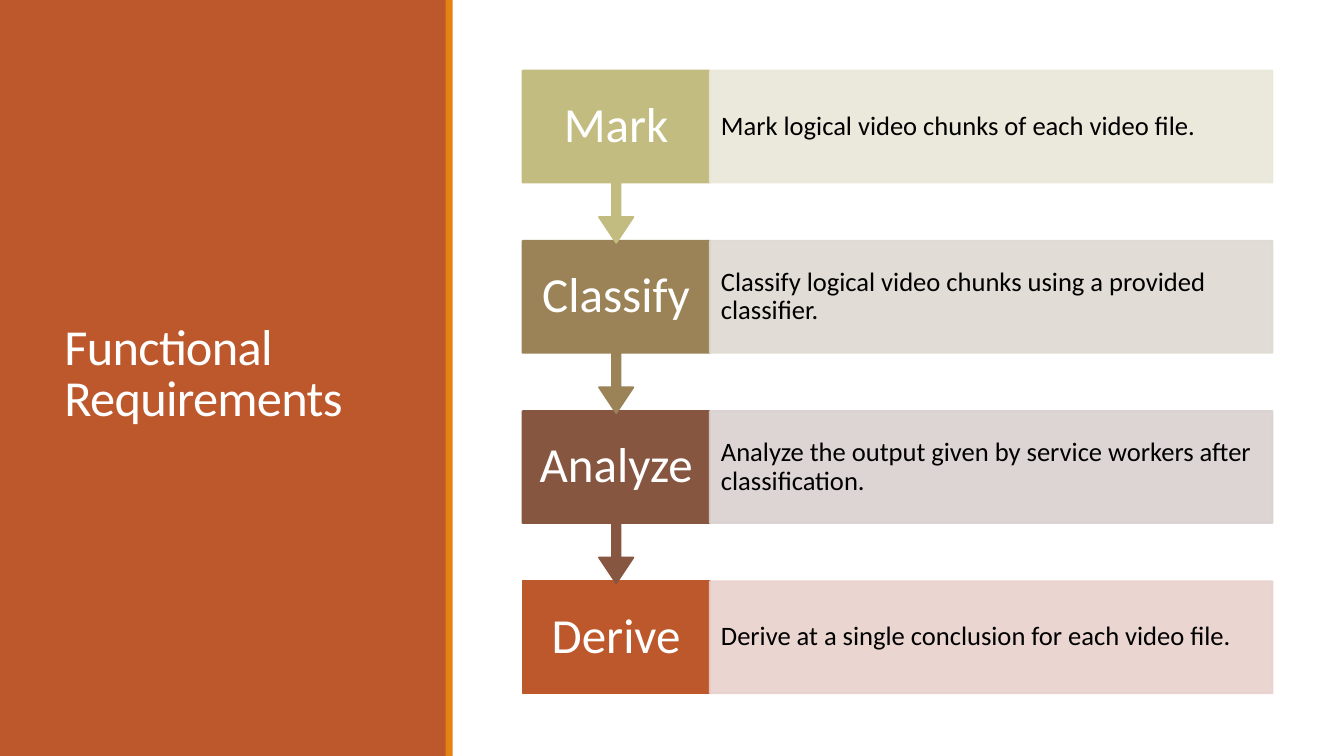
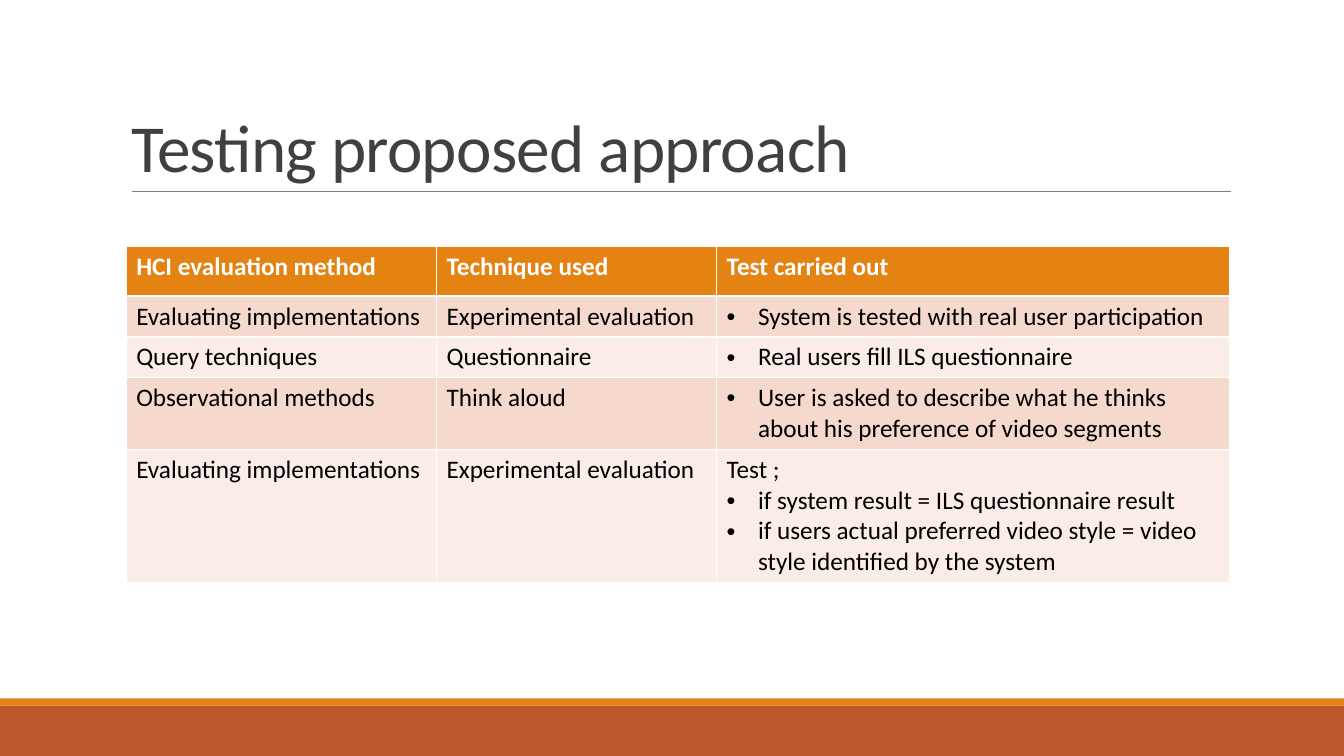
import pptx
import pptx.util
import pptx.dml.color
import pptx.enum.shapes
import pptx.enum.text
import pptx.oxml.ns
import lxml.etree

Cm = pptx.util.Cm
Pt = pptx.util.Pt
RGB = pptx.dml.color.RGBColor.from_string
SHAPE = pptx.enum.shapes.MSO_SHAPE
ANCHOR = pptx.enum.text.MSO_ANCHOR
ALIGN = pptx.enum.text.PP_ALIGN
qn = pptx.oxml.ns.qn

FONT = "Calibri"
COLORS = {
    "rust": "BD582C", "orange": "E48312", "white": "FFFFFF", "black": "000000",
    "title": "404040", "rule": "808080", "row_dark": "F5D9CC", "row_light": "FAEDE7",
}
WIDTH, HEIGHT = 33.87, 19.05
BAND = 0.18

prs = pptx.Presentation()
prs.slide_width, prs.slide_height = Cm(WIDTH), Cm(HEIGHT)


def add_box(s, kind, x, y, w, h, fill, line=None):
    sp = s.shapes.add_shape(kind, Cm(x), Cm(y), Cm(w), Cm(h))
    sp.shadow.inherit = False
    sp.fill.solid()
    sp.fill.fore_color.rgb = RGB(fill)
    if line:
        sp.line.color.rgb = RGB(fill)
        sp.line.width = Pt(line)
    else:
        sp.line.fill.background()
    return sp


def format_text(tf, size, color, anchor, align=ALIGN.LEFT, spacing=None, bold=False, track=None):
    tf.word_wrap = True
    tf.vertical_anchor = anchor
    for p in tf.paragraphs:
        p.alignment = align
        p.line_spacing = spacing
        for r in p.runs:
            r.font.name = FONT
            r.font.size = Pt(size)
            r.font.bold = bold
            r.font.color.rgb = RGB(color)
            if track:
                r.font._element.set("spc", str(track))


titles = [
    ("Functional Requirements", (1.37, 1.45, 8.56, 16.03), 36, "white", ANCHOR.MIDDLE),
    ("Testing proposed approach", (3.05, 0.79, 27.94, 4.04), 48, "title", ANCHOR.BOTTOM),
]
for text, (x, y, w, h), size, color, anchor in titles:
    s = prs.slides.add_slide(prs.slide_layouts[5])
    title = s.shapes.title
    title.left, title.top, title.width, title.height = Cm(x), Cm(y), Cm(w), Cm(h)
    title.text_frame.text = text
    title.text_frame.auto_size = pptx.enum.text.MSO_AUTO_SIZE.NONE
    format_text(title.text_frame, size, COLORS[color], anchor, spacing=0.85, track=-50)

s = prs.slides[0]
panel = add_box(s, SHAPE.RECTANGLE, 0, 0, 11.25, HEIGHT, COLORS["rust"])
s.shapes._spTree.remove(panel._element)
s.shapes._spTree.insert(2, panel._element)
add_box(s, SHAPE.RECTANGLE, 11.23, 0, BAND, HEIGHT, COLORS["orange"])

steps = [
    ("Mark", "Mark logical video chunks of each video file.", "C2BC80", "E9E7D8"),
    ("Classify", "Classify logical video chunks using a provided classifier.", "9B8357", "DED9D1"),
    ("Analyze", "Analyze the output given by service workers after classification.", "865640", "D9D1CF"),
    ("Derive", "Derive at a single conclusion for each video file.", COLORS["rust"], "E8D1CD"),
]
step_x, step_y, step_pitch = 13.17, 1.78, 4.29
label_w, detail_w, step_h, callout_h = 4.72, 14.18, 2.82, 4.34
for i, (label, detail, dark, light) in reversed(list(enumerate(steps))):
    y = step_y + i * step_pitch
    if i == len(steps) - 1:
        head = add_box(s, SHAPE.RECTANGLE, step_x, y, label_w, step_h, dark, 1.25)
    else:
        head = add_box(s, SHAPE.DOWN_ARROW_CALLOUT, step_x, y, label_w, callout_h, dark, 1.25)
        for k, value in enumerate((0.05, 0.1, 0.15, 0.65)):
            head.adjustments[k] = value
    body = add_box(s, SHAPE.RECTANGLE, step_x + label_w, y, detail_w, step_h, light, 1.25)
    for clr in body._element.spPr.iter(qn("a:srgbClr")):
        lxml.etree.SubElement(clr, qn("a:alpha")).set("val", "90000")
    for sp, text, inset in ((head, label, 0.33), (body, detail, 0.28)):
        tf = sp.text_frame
        tf.text = text
        tf.margin_left = tf.margin_right = Cm(inset)
        tf.margin_top = tf.margin_bottom = Cm(0.66)
    format_text(head.text_frame, 35, COLORS["white"], ANCHOR.MIDDLE, ALIGN.CENTER, 0.9)
    format_text(body.text_frame, 19, COLORS["black"], ANCHOR.MIDDLE, spacing=0.9)

s = prs.slides[1]
add_box(s, SHAPE.RECTANGLE, 0, 17.78, WIDTH, 1.27, COLORS["rust"])
add_box(s, SHAPE.RECTANGLE, 0, 17.6, WIDTH, BAND, COLORS["orange"])
rule = s.shapes.add_connector(
    pptx.enum.shapes.MSO_CONNECTOR.STRAIGHT, Cm(3.33), Cm(4.83), Cm(31.01), Cm(4.83))
rule.line.color.rgb = RGB(COLORS["rule"])
rule.line.width = Pt(0.5)
lxml.etree.SubElement(rule._element.spPr, qn("a:effectLst"))

BULLET = "• "
rows = [
    ("HCI evaluation method", "Technique used", "Test carried out"),
    ("Evaluating implementations", "Experimental evaluation",
     "• System is tested with real user participation"),
    ("Query techniques", "Questionnaire", "• Real users fill ILS questionnaire"),
    ("Observational methods", "Think aloud",
     "• User is asked to describe what he thinks about his preference of video segments"),
    ("Evaluating implementations", "Experimental evaluation",
     "Test ;\n• if system result = ILS questionnaire result\n"
     "• if users actual preferred video style = video style identified by the system"),
]
col_widths = [7.82, 7.06, 12.93]
row_heights = [1.24, 1.03, 1.02, 1.8, 3.35]
table = s.shapes.add_table(
    len(rows), len(col_widths), Cm(3.18), Cm(6.22),
    Cm(sum(col_widths)), Cm(sum(row_heights))).table
for col, w in zip(table.columns, col_widths):
    col.width = Cm(w)
for i, (row, h) in enumerate(zip(rows, row_heights)):
    table.rows[i].height = Cm(h)
    header = i == 0
    fill = "orange" if header else "row_dark" if i % 2 else "row_light"
    for j, text in enumerate(row):
        cell = table.cell(i, j)
        cell.fill.solid()
        cell.fill.fore_color.rgb = RGB(COLORS[fill])
        tf = cell.text_frame
        tf.text = text
        for p in tf.paragraphs:
            if p.text.startswith(BULLET):
                p.text = p.text.removeprefix(BULLET)
                pPr = p._p.get_or_add_pPr()
                pPr.set("marL", str(Cm(0.79)))
                pPr.set("indent", str(-Cm(0.79)))
                lxml.etree.SubElement(pPr, qn("a:buFont")).set("typeface", "Arial")
                lxml.etree.SubElement(pPr, qn("a:buChar")).set("char", BULLET.strip())
        format_text(tf, 18, COLORS["white" if header else "black"], ANCHOR.TOP, bold=header)

prs.save("out.pptx")
